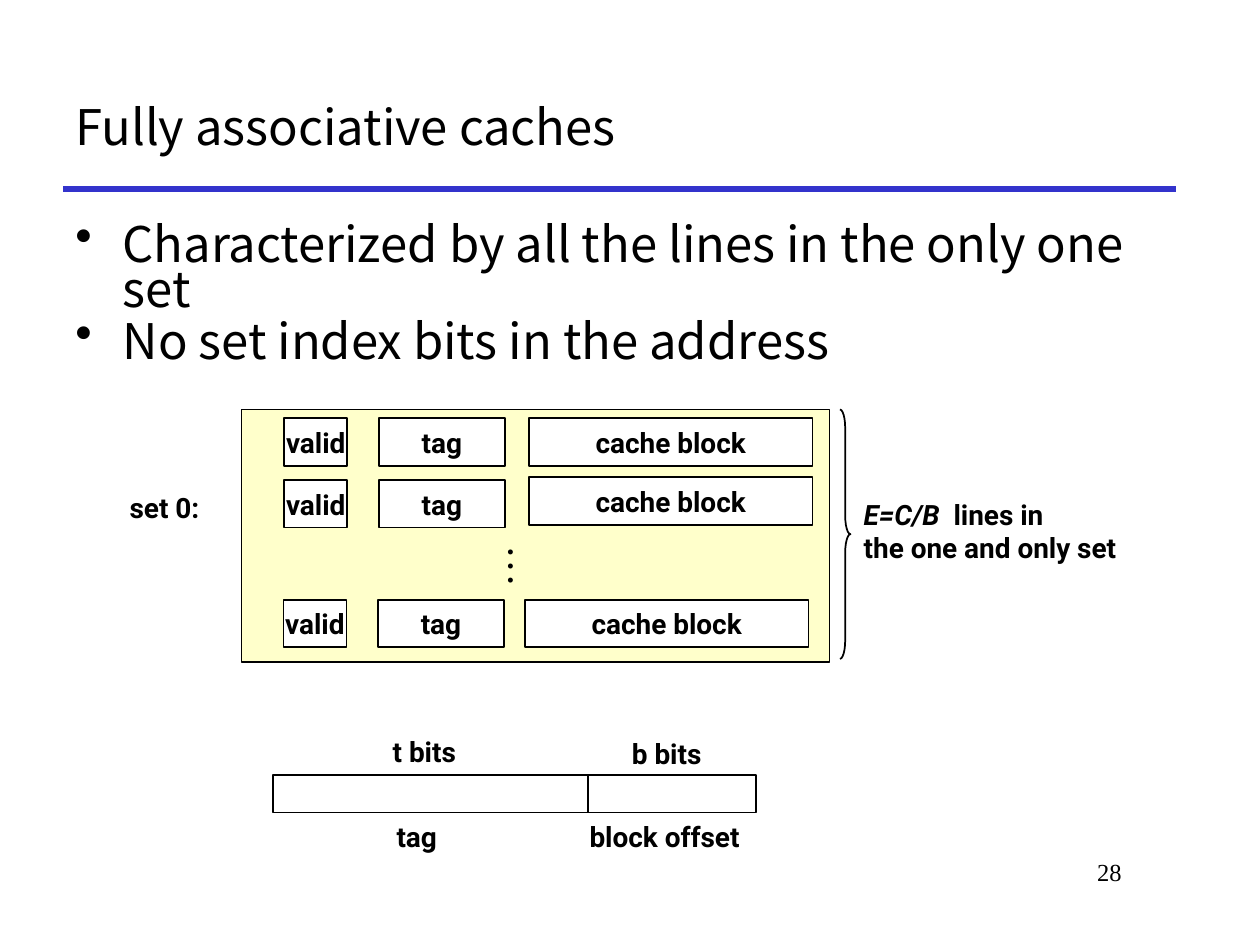
import dataclasses

import pptx
import pptx.dml.color
import pptx.enum.shapes
import pptx.enum.text
import pptx.oxml.ns
import pptx.oxml.xmlchemy
import pptx.util

Pt = pptx.util.Pt
Align = pptx.enum.text.PP_ALIGN
Anchor = pptx.enum.text.MSO_ANCHOR
Shape = pptx.enum.shapes.MSO_SHAPE


@dataclasses.dataclass(frozen=True)
class Theme:
    black: str = "000000"
    white: str = "FFFFFF"
    rule: str = "3333CC"
    set_fill: str = "FFFF99"
    heading_font: str = "Noto Sans CJK KR"
    label_font: str = "Roboto"
    serif_font: str = "Times New Roman"
    heading_size: int = 28
    dots_size: int = 24
    label_size: int = 16
    number_size: int = 14


THEME = Theme()
LABEL = dict(font=THEME.label_font, size=THEME.label_size, bold=True)
HEADING = dict(font=THEME.heading_font, size=THEME.heading_size)


def rgb(color):
    return pptx.dml.color.RGBColor.from_string(color)


def add_element(parent, tag, **attributes):
    element = pptx.oxml.xmlchemy.OxmlElement(tag)
    for name, value in attributes.items():
        element.set(name, value)
    parent.append(element)
    return element


def write_text(shape, text, *, font, size, bold=False, align=Align.LEFT,
               anchor=Anchor.TOP, wrap=False, grow=False, bullet=None,
               line_spacing=None, space_before=0, italic_lead=""):
    """Write one paragraph per line; italic_lead opens the first in italics."""
    frame = shape.text_frame
    frame.word_wrap = wrap
    frame.vertical_anchor = anchor
    if grow:
        frame.auto_size = pptx.enum.text.MSO_AUTO_SIZE.SHAPE_TO_FIT_TEXT
    for index, line in enumerate(text.split("\n")):
        paragraph = frame.add_paragraph() if index else frame.paragraphs[0]
        paragraph.alignment = align
        if line_spacing:
            paragraph.line_spacing = line_spacing
        if index and space_before:
            paragraph.space_before = Pt(space_before)
        if bullet:
            properties = paragraph._p.get_or_add_pPr()
            properties.set("marL", str(Pt(27)))
            properties.set("indent", str(-Pt(27)))
            add_element(properties, "a:buChar", char=bullet)
        paragraph.font.name = font
        paragraph.font.size = Pt(size)
        paragraph.font.bold = bold
        paragraph.font.color.rgb = rgb(THEME.black)
        pieces = [(line, False)]
        if italic_lead and index == 0:
            pieces.insert(0, (italic_lead, True))
        for piece, italic in pieces:
            run = paragraph.add_run()
            run.text = piece
            run.font.name = font
            run.font.size = Pt(size)
            run.font.bold = bold
            run.font.italic = italic
            run.font.color.rgb = rgb(THEME.black)


def add_text(slide, text, left, top, width, height, **text_format):
    box = slide.shapes.add_textbox(Pt(left), Pt(top), Pt(width), Pt(height))
    write_text(box, text, **text_format)
    return box


def add_outline(slide, kind, left, top, width, height, fill=None, opacity=None):
    """Add a preset shape with a thin black outline."""
    shape = slide.shapes.add_shape(kind, Pt(left), Pt(top), Pt(width), Pt(height))
    shape.shadow.inherit = False
    shape.line.color.rgb = rgb(THEME.black)
    shape.line.width = Pt(1)
    if fill is None:
        shape.fill.background()
        return shape
    shape.fill.solid()
    shape.fill.fore_color.rgb = rgb(fill)
    if opacity is not None:
        color = shape._element.spPr.find(pptx.oxml.ns.qn("a:solidFill"))[0]
        add_element(color, "a:alpha", val=str(opacity * 1000))
    return shape


def add_cell(slide, text, left, top, width):
    cell = add_outline(slide, Shape.RECTANGLE, left, top, width, 27.2, THEME.white)
    write_text(cell, text, align=Align.CENTER, anchor=Anchor.MIDDLE, **LABEL)


def add_rule(slide, left, right, y):
    rule = slide.shapes.add_connector(
        pptx.enum.shapes.MSO_CONNECTOR.STRAIGHT, Pt(left), Pt(y), Pt(right), Pt(y))
    rule.line.color.rgb = rgb(THEME.rule)
    rule.line.width = Pt(3)
    add_element(rule._element.spPr, "a:effectLst")


def add_heading_and_points(slide):
    add_rule(slide, 36, 672, 108)
    add_text(slide, "28", 546, 486, 102, 36, font=THEME.serif_font,
             size=THEME.number_size, align=Align.RIGHT, wrap=True)
    add_text(slide, "Fully associative caches", 36, 36, 636, 72,
             anchor=Anchor.MIDDLE, wrap=True, **HEADING)
    add_text(slide, "Characterized by all the lines in the only one set\n"
             "No set index bits in the address", 36, 126, 654, 114, wrap=True,
             bullet="•", line_spacing=0.76, space_before=4.5, **HEADING)


def add_cache_set(slide):
    add_text(slide, "set 0:", 66, 276.5, 56, 26.6, align=Align.CENTER,
             anchor=Anchor.MIDDLE, grow=True, **LABEL)
    add_outline(slide, Shape.RECTANGLE, 138, 234, 336, 144.5, THEME.set_fill, 50)

    # Each row: left of the first cell, top, left and top of its block
    rows = ((162.5, 239, 302.3, 239),
            (162.5, 274.3, 302.3, 272.8),
            (162, 342.7, 300, 342.7))
    for left, top, block_left, block_top in rows:
        add_cell(slide, "valid", left, top, 36)
        add_cell(slide, "tag", left + 54, top, 72)
        add_cell(slide, "cache block", block_left, block_top, 162)

    dots = add_text(slide, "…", 275, 304.5, 43.2, 31, font=THEME.serif_font,
                    size=THEME.dots_size, grow=True)
    dots.text_frame._txBody.bodyPr.set("vert", "eaVert")

    brace = add_outline(slide, Shape.RIGHT_BRACE, 480, 234, 6, 142.5)
    brace.adjustments[0] = 1.75
    brace.adjustments[1] = 0.5
    add_text(slide, "  lines in\nthe one and only set", 486.5, 280.3, 169, 46,
             italic_lead="E=C/B", anchor=Anchor.MIDDLE, grow=True, **LABEL)


def add_address(slide):
    for left, width in ((336, 96), (156, 180)):
        add_outline(slide, Shape.RECTANGLE, left, 442.8, width, 21.6)
    labels = (("t bits", 217.3, 416, 52.5), ("b bits", 354, 417.2, 57),
              ("tag", 219.5, 464.5, 38), ("block offset", 329.8, 464.5, 104.5))
    for text, left, top, width in labels:
        add_text(slide, text, left, top, width, 26.6, grow=True, **LABEL)


def main():
    presentation = pptx.Presentation()
    presentation.slide_width = Pt(720)
    presentation.slide_height = Pt(540)
    slide = presentation.slides.add_slide(presentation.slide_layouts[6])
    add_heading_and_points(slide)
    add_cache_set(slide)
    add_address(slide)
    presentation.save("out.pptx")


if __name__ == "__main__":
    main()
